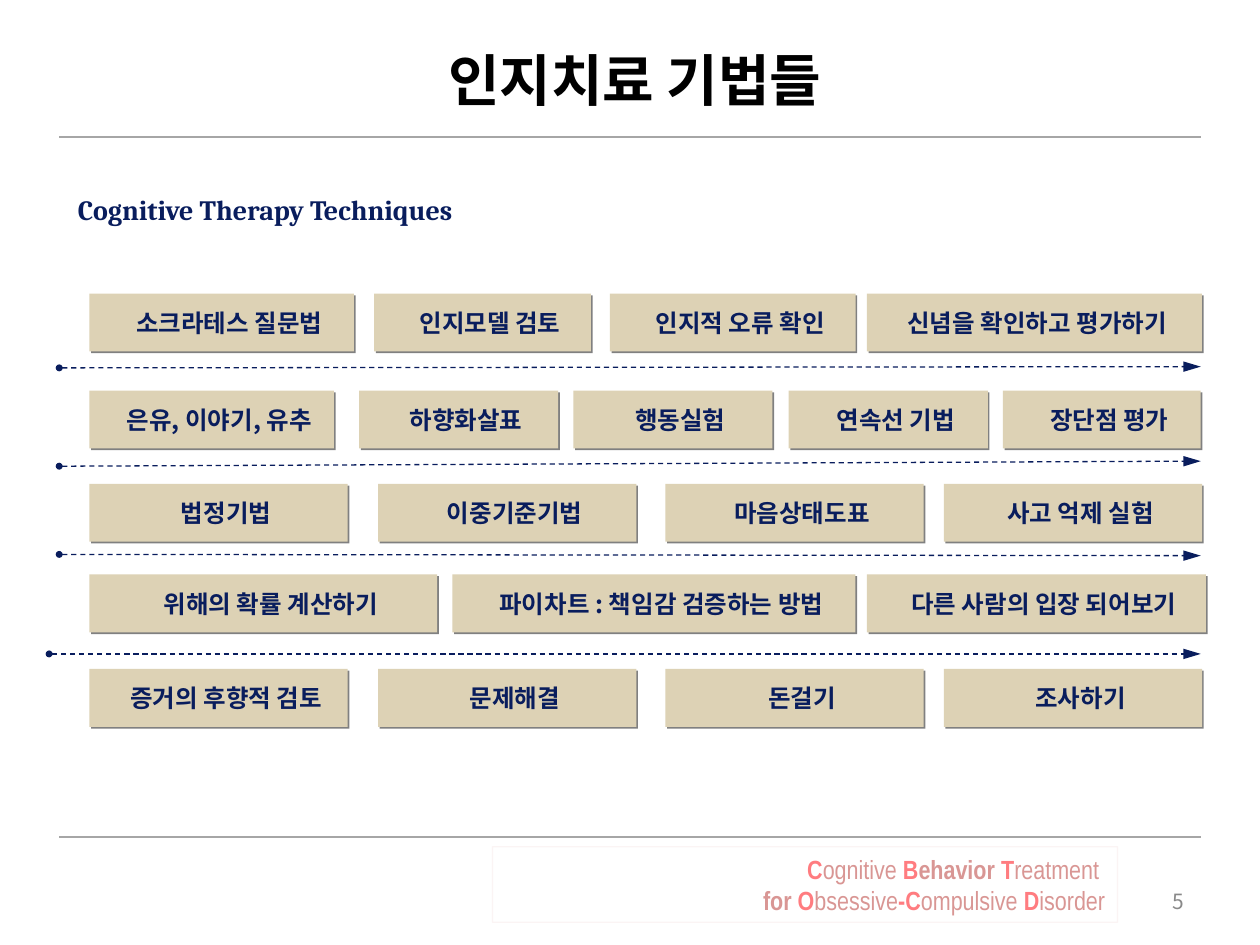
from lxml.etree import SubElement
from pptx import Presentation
from pptx.dml.color import RGBColor
from pptx.enum.dml import MSO_LINE
from pptx.enum.shapes import MSO_CONNECTOR, MSO_SHAPE
from pptx.enum.text import MSO_ANCHOR, MSO_AUTO_SIZE, PP_ALIGN
from pptx.oxml.ns import qn
from pptx.util import Pt

PX = 9144
KOREAN = "Noto Sans CJK KR"
NAVY, GRAY, RED, ROSE = "091D5D", "A6A6A6", "FF7C80", "D99694"

QUARTERS = [(71, 205), (300, 205), (528, 205), (749, 205)]
ROWS = [
    (233, [(71, 210), (297, 172), (484, 195), (688, 266)],
     ["소크라테스 질문법", "인지모델 검토", "인지적 오류 확인", " 신념을 확인하고 평가하기"]),
    (310, [(71, 194), (285, 158), (455, 158), (626, 158), (796, 157)],
     ["은유, 이야기, 유추", "하향화살표", "행동실험", "연속선 기법", "장단점 평가"]),
    (384, QUARTERS, ["법정기법", "이중기준기법", "마음상태도표", "사고 억제 실험"]),
    (456, [(71, 276), (359, 320), (688, 269)],
     ["위해의 확률 계산하기", "파이차트 : 책임감 검증하는 방법", "다른 사람의 입장 되어보기"]),
    (531, QUARTERS, ["증거의 후향적 검토", "문제해결", "돈걸기", "조사하기"]),
]
ARROWS = [(47, 292, 291), (47, 370, 366), (47, 440, 441), (39, 519, 519)]
FOOTER = [
    [("C", RED, True), ("ognitive", ROSE, False), (" B", RED, True),
     ("ehavior", ROSE, True), (" T", RED, True), ("reatment ", ROSE, False)],
    [("for", ROSE, True), (" O", RED, True), ("bsessive", ROSE, False),
     ("-C", RED, True), ("ompulsive", ROSE, False), (" D", RED, True),
     ("isorder", ROSE, False)],
]


def rgb(value):
    return RGBColor.from_string(value)


def px(*values):
    return [v * PX for v in values]


def element(parent, tag, **attrs):
    return SubElement(parent, qn(tag), attrs)


def style(p, size, color, name=KOREAN, bold=False, align=PP_ALIGN.LEFT):
    p.alignment = align
    p.font.size = Pt(size)
    p.font.bold = bold
    p.font.name = name
    p.font.color.rgb = rgb(color)
    element(p.font._element, "a:ea", typeface=name)


def add_line(s, x1, y1, x2, y2, color, width):
    line = s.shapes.add_connector(MSO_CONNECTOR.STRAIGHT, *px(x1, y1, x2, y2))
    line.line.color.rgb = rgb(color)
    line.line.width = Pt(width)
    element(line._element.spPr, "a:effectLst")
    return line


def add_arrow(s, x1, y1, x2, y2):
    arrow = add_line(s, x1, y1, x2, y2, NAVY, 0.75)
    arrow.line.dash_style = MSO_LINE.DASH
    ln = arrow.line._get_or_add_ln()
    element(ln, "a:headEnd", type="oval", w="sm", len="sm")
    element(ln, "a:tailEnd", type="triangle", w="med", len="lg")


def add_text(s, x, y, w, h, text, wrap=True, anchor=MSO_ANCHOR.TOP, **look):
    tf = s.shapes.add_textbox(*px(x, y, w, h)).text_frame
    tf.word_wrap = wrap
    tf.vertical_anchor = anchor
    p = tf.paragraphs[0]
    p.text = text
    style(p, **look)


def add_title(s, x, y, w, h, text):
    title = s.shapes.title
    title.left, title.top, title.width, title.height = px(x, y, w, h)
    tf = title.text_frame
    tf.vertical_anchor = MSO_ANCHOR.MIDDLE
    p = tf.paragraphs[0]
    p.text = text
    style(p, 32, "000000", bold=True, align=PP_ALIGN.CENTER)


def add_card(s, x, y, w, h, text):
    sp = s.shapes.add_shape(MSO_SHAPE.RECTANGLE, *px(x, y, w, h))
    sp.fill.solid()
    sp.fill.fore_color.rgb = rgb("DDD2B5")
    sp.line.fill.background()
    sp.shadow.inherit = False
    effects = sp._element.spPr.find(qn("a:effectLst"))
    shadow = element(effects, "a:outerShdw", dist="17961", dir="2700000",
                     algn="ctr", rotWithShape="0")
    element(shadow, "a:srgbClr", val="808080")
    tf = sp.text_frame
    tf.word_wrap = True
    tf.vertical_anchor = MSO_ANCHOR.MIDDLE
    tf.margin_left = tf.margin_right = tf.margin_top = tf.margin_bottom = 10 * PX
    p = tf.paragraphs[0]
    p.text = text
    pPr = p._p.get_or_add_pPr()
    pPr.set("marL", str(12 * PX))
    pPr.set("indent", str(-12 * PX))
    if text.startswith(" "):
        element(pPr, "a:buNone")
    else:
        element(element(pPr, "a:buClr"), "a:srgbClr", val="FFFFFF")
        element(pPr, "a:buChar", char=" ")
    style(p, 14, NAVY, bold=True, align=PP_ALIGN.CENTER)


def add_techniques(s):
    for y, columns, labels in ROWS:
        for (x, w), label in zip(columns, labels):
            add_card(s, x, y, w, 46, label)
    for x, y1, y2 in ARROWS:
        add_arrow(s, x, y1, 953, y2)


def add_footer(s, x, y, w, h):
    sp = s.shapes.add_shape(MSO_SHAPE.RECTANGLE, *px(x, y, w, h))
    sp.shadow.inherit = False
    sp.fill.background()
    sp.line.color.rgb = rgb(ROSE)
    sp.line.width = Pt(0.75)
    color = sp.line._get_or_add_ln().find(".//" + qn("a:srgbClr"))
    element(color, "a:alpha", val="10000")
    tf = sp.text_frame
    tf.word_wrap = True
    tf.auto_size = MSO_AUTO_SIZE.SHAPE_TO_FIT_TEXT
    tf.vertical_anchor = MSO_ANCHOR.TOP
    for i, runs in enumerate(FOOTER):
        p = tf.add_paragraph() if i else tf.paragraphs[0]
        style(p, 15, ROSE, "Arial Narrow", align=PP_ALIGN.RIGHT)
        for text, run_color, bold in runs:
            r = p.add_run()
            r.text = text
            r.font.bold = bold
            r.font.color.rgb = rgb(run_color)


def main():
    prs = Presentation()
    prs.slide_width, prs.slide_height = px(1000, 750)
    s = prs.slides.add_slide(prs.slide_layouts[5])
    add_title(s, 109, 16, 800, 94, "인지치료 기법들 ")
    for y in (109, 664):
        add_line(s, 47, y, 953, y, GRAY, 1.25)
    add_text(s, 52, 148, 360, 37, "Cognitive Therapy Techniques", wrap=False,
             size=16, color=NAVY, name="Cambria", bold=True)
    add_techniques(s)
    add_footer(s, 391, 672, 496, 60)
    add_text(s, 717, 695, 233, 40, "5", anchor=MSO_ANCHOR.MIDDLE,
             size=12, color="898989", align=PP_ALIGN.RIGHT)
    prs.save("out.pptx")


if __name__ == "__main__":
    main()
